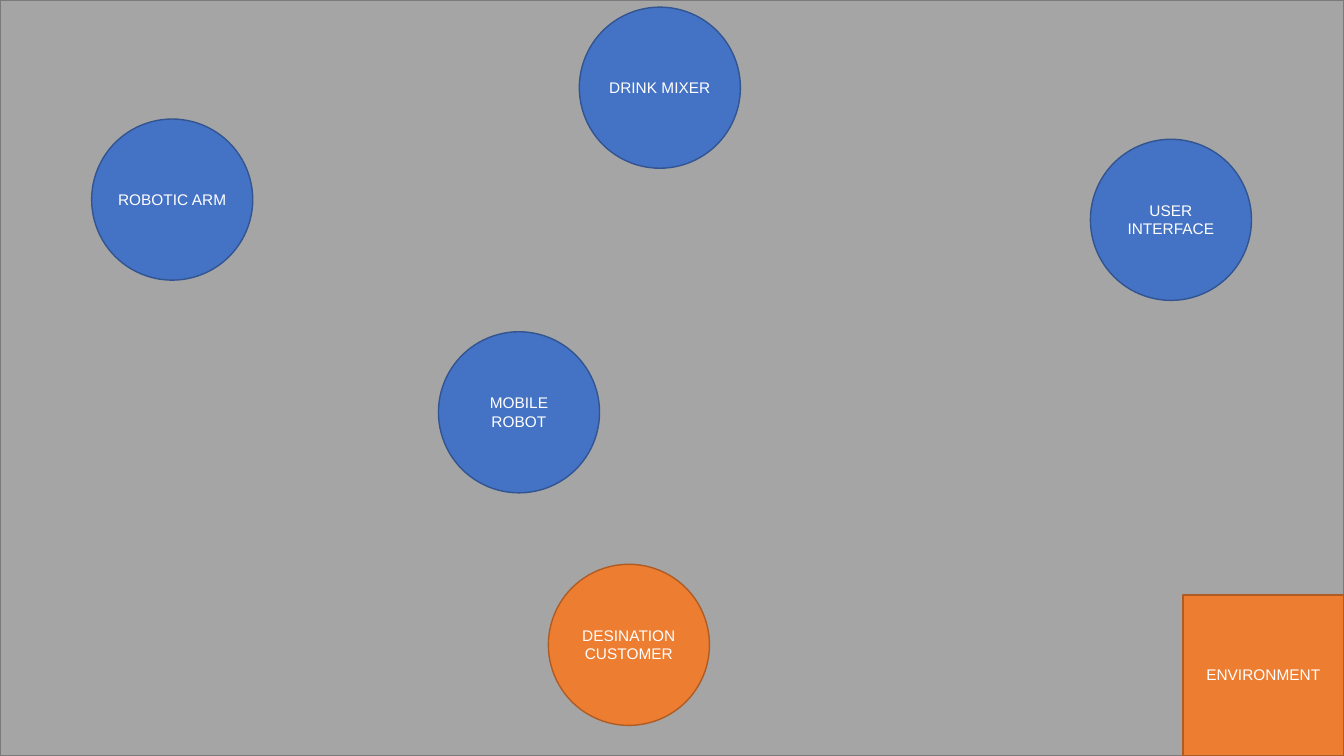
import pptx
import pptx.dml.color
import pptx.enum.shapes
import pptx.enum.text
import pptx.util

Cm = pptx.util.Cm
Kind = pptx.enum.shapes.MSO_SHAPE

WIDTH, HEIGHT = 33.87, 19.05
NODE = 4.06

COLORS = {
    "gray": "A5A5A5", "gray_line": "7A7A7A",
    "blue": "4472C4", "blue_line": "325491",
    "orange": "ED7D31", "orange_line": "AF5C24",
    "text": "FFFFFF",
}

PARTS = [
    ("DRINK MIXER", 14.6, 0.18, "blue"),
    ("ROBOTIC ARM", 2.31, 3.0, "blue"),
    ("MOBILE ROBOT", 11.05, 8.36, "blue"),
    ("USER INTERFACE", 27.48, 3.51, "blue"),
    ("DESINATION\nCUSTOMER", 13.82, 14.22, "orange"),
]


def color(name):
    return pptx.dml.color.RGBColor.from_string(COLORS[name])


class Scene:
    font = "Arial"
    size = pptx.util.Pt(11)

    def __init__(self, slide):
        self.slide = slide

    def shape(self, kind, left, top, width, height, tone):
        shape = self.slide.shapes.add_shape(
            kind, Cm(left), Cm(top), Cm(width), Cm(height))
        shape.shadow.inherit = False
        shape.fill.solid()
        shape.fill.fore_color.rgb = color(tone)
        shape.line.color.rgb = color(tone + "_line")
        shape.line.width = pptx.util.Pt(1)
        return shape

    def node(self, kind, text, left, top, tone):
        """Add a labelled shape of the common node size."""
        frame = self.shape(kind, left, top, NODE, NODE, tone).text_frame
        frame.word_wrap = True
        frame.vertical_anchor = pptx.enum.text.MSO_ANCHOR.MIDDLE
        frame.margin_left = frame.margin_right = 0
        frame.margin_top, frame.margin_bottom = Cm(0.1), Cm(0.13)
        frame.text = text
        for line in frame.paragraphs:
            line.alignment = pptx.enum.text.PP_ALIGN.CENTER
            for run in line.runs:
                run.font.name = self.font
                run.font.size = self.size
                run.font.color.rgb = color("text")


def main():
    deck = pptx.Presentation()
    deck.slide_width, deck.slide_height = Cm(WIDTH), Cm(HEIGHT)
    scene = Scene(deck.slides.add_slide(deck.slide_layouts[6]))

    scene.shape(Kind.RECTANGLE, 0, 0, WIDTH, HEIGHT, "gray")
    for text, left, top, tone in PARTS:
        scene.node(Kind.OVAL, text, left, top, tone)
    scene.node(Kind.RECTANGLE, "ENVIRONMENT",
               WIDTH - NODE, HEIGHT - NODE, "orange")

    deck.save("out.pptx")


if __name__ == "__main__":
    main()
